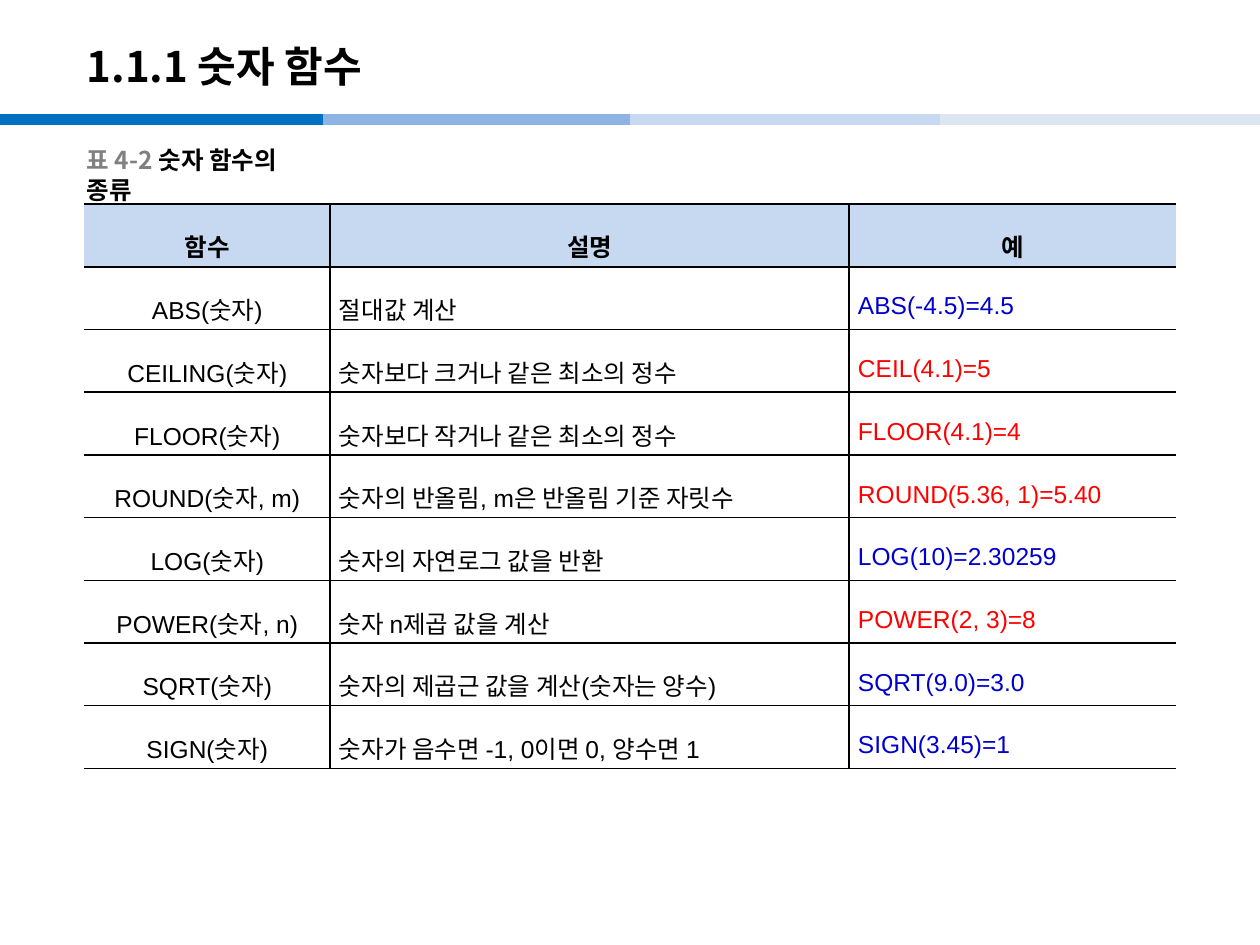
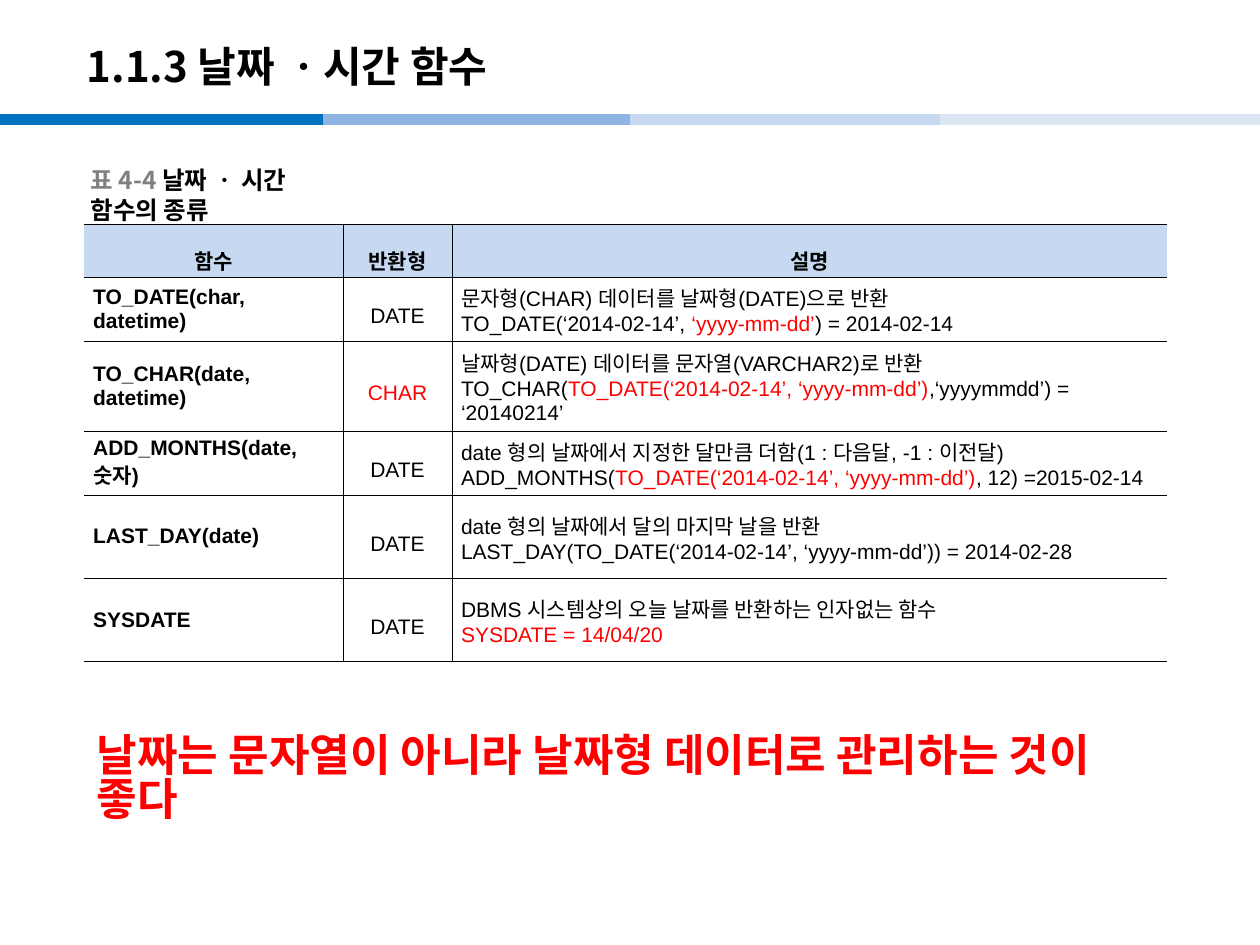
from dataclasses import dataclass
from itertools import pairwise
from typing import NamedTuple

from lxml import etree
from pptx import Presentation
from pptx.dml.color import RGBColor
from pptx.enum.shapes import MSO_CONNECTOR
from pptx.enum.text import MSO_ANCHOR, MSO_AUTO_SIZE, PP_ALIGN
from pptx.oxml.ns import qn
from pptx.util import Inches, Pt

LEFT, MID, JUST = PP_ALIGN.LEFT, PP_ALIGN.CENTER, PP_ALIGN.JUSTIFY
CENTER = MSO_ANCHOR.MIDDLE
FIT = MSO_AUTO_SIZE.SHAPE_TO_FIT_TEXT
STRAIGHT = MSO_CONNECTOR.STRAIGHT

# The slide is a grid of 100 columns by 75 rows.
COLS, ROWS = 100, 75
UNIT = Inches(0.1)


@dataclass(frozen=True)
class Theme:
    ink: str = "000000"
    gray: str = "808080"
    red: str = "FF0000"
    blue: str = "0000CC"
    head: str = "C6D9F1"
    white: str = "FFFFFF"
    bands: tuple[str, ...] = ("0070C0", "8EB4E3", "C6D9F1", "DCE6F2")
    latin: str = "Arial"
    hangul: str = "Noto Sans CJK KR"
    title: float = 24
    label: float = 14
    small: float = 12
    note: float = 25.2
    band: float = 6


THEME = Theme()


class Span(NamedTuple):
    text: str
    color: str = THEME.ink


class Box(NamedTuple):
    left: float
    top: float
    width: float
    height: float


class Col(NamedTuple):
    width: float
    align: PP_ALIGN
    leading: float | None = None
    bold: bool = False


Line = tuple[Span, ...]
Cell = tuple[Line, ...]


@dataclass(frozen=True)
class Grid:
    left: float
    top: float
    cols: tuple[Col, ...]
    heights: tuple[float, ...]
    head: tuple[str, ...]
    rows: tuple[tuple[Cell, ...], ...]
    size: float
    rule: float
    fill: str | None = None


@dataclass(frozen=True)
class Page:
    title: str
    number: str
    label: str
    spot: Box
    grid: Grid
    note: str = ""


def units(*spans: float) -> list[int]:
    return [round(span * UNIT) for span in spans]


def plain(text: str) -> Cell:
    return ((Span(text),),)


def red(text: str) -> Span:
    return Span(text, THEME.red)


def blue(text: str) -> Span:
    return Span(text, THEME.blue)


def write(para, line: Line, size: float, bold: bool, face: str,
          align: PP_ALIGN = LEFT, leading: float | None = None) -> None:
    para.alignment = align
    if leading:
        para.line_spacing = leading
    for span in line:
        run = para.add_run()
        run.text = span.text
        for key, value in {"name": face, "size": Pt(size), "bold": bold}.items():
            setattr(run.font, key, value)
        run.font.color.rgb = RGBColor.from_string(span.color)
        east = etree.SubElement(run._r.get_or_add_rPr(), qn("a:ea"))
        east.set("typeface", THEME.hangul)


def add_text(slide, box: Box, line: Line, size: float, wrap: bool = True,
             leading: float | None = None) -> None:
    frame = slide.shapes.add_textbox(*units(*box)).text_frame
    frame.word_wrap = wrap
    frame.vertical_anchor = CENTER
    if not wrap:
        frame.auto_size = FIT
    write(frame.paragraphs[0], line, size, True, THEME.hangul, leading=leading)


def add_bands(slide) -> None:
    edges = (0, 25.6, 50, 74.6, COLS)
    for (start, end), color in zip(pairwise(edges), THEME.bands):
        band = slide.shapes.add_connector(STRAIGHT, *units(start, 9.5, end, 9.5))
        band.line.color.rgb = RGBColor.from_string(color)
        band.line.width = Pt(THEME.band)
        etree.SubElement(band._element.spPr, qn("a:effectLst"))


def add_rules(cell, width: float, first: bool, last: bool) -> None:
    """Rule all sides of a cell but the outer left and right of the table."""
    props = cell._tc.get_or_add_tcPr()
    for side, bare in (("L", first), ("R", last), ("T", False), ("B", False)):
        rule = etree.SubElement(props, qn(f"a:ln{side}"), w=str(Pt(width)))
        if bare:
            etree.SubElement(rule, qn("a:noFill"))
        else:
            fill = etree.SubElement(rule, qn("a:solidFill"))
            etree.SubElement(fill, qn("a:srgbClr"), val=THEME.ink)


def add_cell(cell, lines: Cell, col: Col, grid: Grid, fill: str | None) -> None:
    pads = {"margin_left": 0.7, "margin_right": 0.7,
            "margin_top": 0.2, "margin_bottom": 0.2}
    for key, pad in pads.items():
        setattr(cell, key, units(pad)[0])
    cell.vertical_anchor = CENTER
    if fill:
        cell.fill.solid()
        cell.fill.fore_color.rgb = RGBColor.from_string(fill)
    else:
        cell.fill.background()
    frame = cell.text_frame
    for i, line in enumerate(lines):
        para = frame.add_paragraph() if i else frame.paragraphs[0]
        write(para, line, grid.size, col.bold, THEME.latin, col.align, col.leading)


def add_grid(slide, grid: Grid) -> None:
    wide = sum(col.width for col in grid.cols)
    place = units(grid.left, grid.top, wide, sum(grid.heights))
    table = slide.shapes.add_table(
        len(grid.heights), len(grid.cols), *place).table
    table.first_row = table.horz_banding = False
    for track, col in zip(table.columns, grid.cols):
        track.width = units(col.width)[0]
    for track, high in zip(table.rows, grid.heights):
        track.height = units(high)[0]
    head = tuple(plain(text) for text in grid.head)
    for r, row in enumerate((head, *grid.rows)):
        for c, (lines, col) in enumerate(zip(row, grid.cols)):
            cell = table.cell(r, c)
            add_rules(cell, grid.rule, c == 0, c == len(grid.cols) - 1)
            if r == 0:
                col = Col(col.width, MID, 1.6, True)
            add_cell(cell, lines, col, grid, grid.fill if r else THEME.head)


def add_page(deck, page: Page) -> None:
    slide = deck.slides.add_slide(deck.slide_layouts[6])
    add_bands(slide)
    add_text(slide, Box(5.9, 2.2, 82.7, 6), (Span(page.title),), THEME.title)
    add_grid(slide, page.grid)
    label = (Span(page.number + " ", THEME.gray), Span(page.label))
    add_text(slide, page.spot, label, THEME.label, wrap=False)
    if page.note:
        add_text(slide, Box(6.7, 58, 86.6, 7.9), (red(page.note),),
                 THEME.note, leading=0.83)


MATH = tuple(
    (plain(name), plain(about), ((show,),))
    for name, about, show in (
        ("ABS(숫자)", "절대값 계산", blue("ABS(-4.5)=4.5")),
        ("CEILING(숫자)", "숫자보다 크거나 같은 최소의 정수", red("CEIL(4.1)=5")),
        ("FLOOR(숫자)", "숫자보다 작거나 같은 최소의 정수", red("FLOOR(4.1)=4")),
        ("ROUND(숫자, m)", "숫자의 반올림, m은 반올림 기준 자릿수",
         red("ROUND(5.36, 1)=5.40")),
        ("LOG(숫자)", "숫자의 자연로그 값을 반환", blue("LOG(10)=2.30259")),
        ("POWER(숫자, n)", "숫자 n제곱 값을 계산", red("POWER(2, 3)=8")),
        ("SQRT(숫자)", "숫자의 제곱근 값을 계산(숫자는 양수)", blue("SQRT(9.0)=3.0")),
        ("SIGN(숫자)", "숫자가 음수면 -1, 0이면 0, 양수면 1", blue("SIGN(3.45)=1")),
    )
)

DAY = "TO_DATE(‘2014-02-14’, ‘yyyy-mm-dd’)"
DATES = tuple(
    (plain(name), ((kind,),), ((Span(about),), show))
    for name, kind, about, show in (
        ("TO_DATE(char, datetime)", Span("DATE"),
         "문자형(CHAR) 데이터를 날짜형(DATE)으로 반환",
         (Span("TO_DATE(‘2014-02-14’, "), red("‘yyyy-mm-dd’"),
          Span(") = 2014-02-14"))),
        ("TO_CHAR(date, datetime)", red("CHAR"),
         "날짜형(DATE) 데이터를 문자열(VARCHAR2)로 반환",
         (Span("TO_CHAR("), red(DAY), Span(",‘yyyymmdd’) = ‘20140214’"))),
        ("ADD_MONTHS(date, 숫자)", Span("DATE"),
         "date 형의 날짜에서 지정한 달만큼 더함(1 : 다음달, -1 : 이전달)",
         (Span("ADD_MONTHS("), red(DAY), Span(", 12) =2015-02-14"))),
        ("LAST_DAY(date)", Span("DATE"), "date 형의 날짜에서 달의 마지막 날을 반환",
         (Span(f"LAST_DAY({DAY}) = 2014-02-28"),)),
        ("SYSDATE", Span("DATE"), "DBMS 시스템상의 오늘 날짜를 반환하는 인자없는 함수",
         (red("SYSDATE = 14/04/20"),)),
    )
)

PAGES = (
    Page("1.1.1 숫자 함수", "표 4-2", "숫자 함수의 종류", Box(5.9, 12.3, 20.9, 3.1),
         Grid(6.7, 16.2,
              (Col(19.5, MID, 1.6), Col(41.2, JUST, 1.6), Col(25.9, JUST, 1.6)),
              (4.98,) * 9, ("함수", "설명", "예"), MATH, THEME.label, 1,
              THEME.white)),
    Page("1.1.3 날짜 ㆍ시간 함수", "표 4-4", "날짜 ㆍ 시간 함수의 종류",
         Box(6.2, 13.9, 20.9, 3.1),
         Grid(6.7, 17.8,
              (Col(20.5, LEFT, bold=True), Col(8.7, MID, 1.6), Col(56.7, LEFT)),
              (4.2, 5.1, 7.1, 5.1, 6.6, 6.6), ("함수", "반환형", "설명"), DATES,
              THEME.small, 0.28),
         "날짜는 문자열이 아니라 날짜형 데이터로 관리하는 것이 좋다"),
)


def main() -> None:
    deck = Presentation()
    deck.slide_width, deck.slide_height = units(COLS, ROWS)
    for page in PAGES:
        add_page(deck, page)
    deck.save("out.pptx")


if __name__ == "__main__":
    main()
